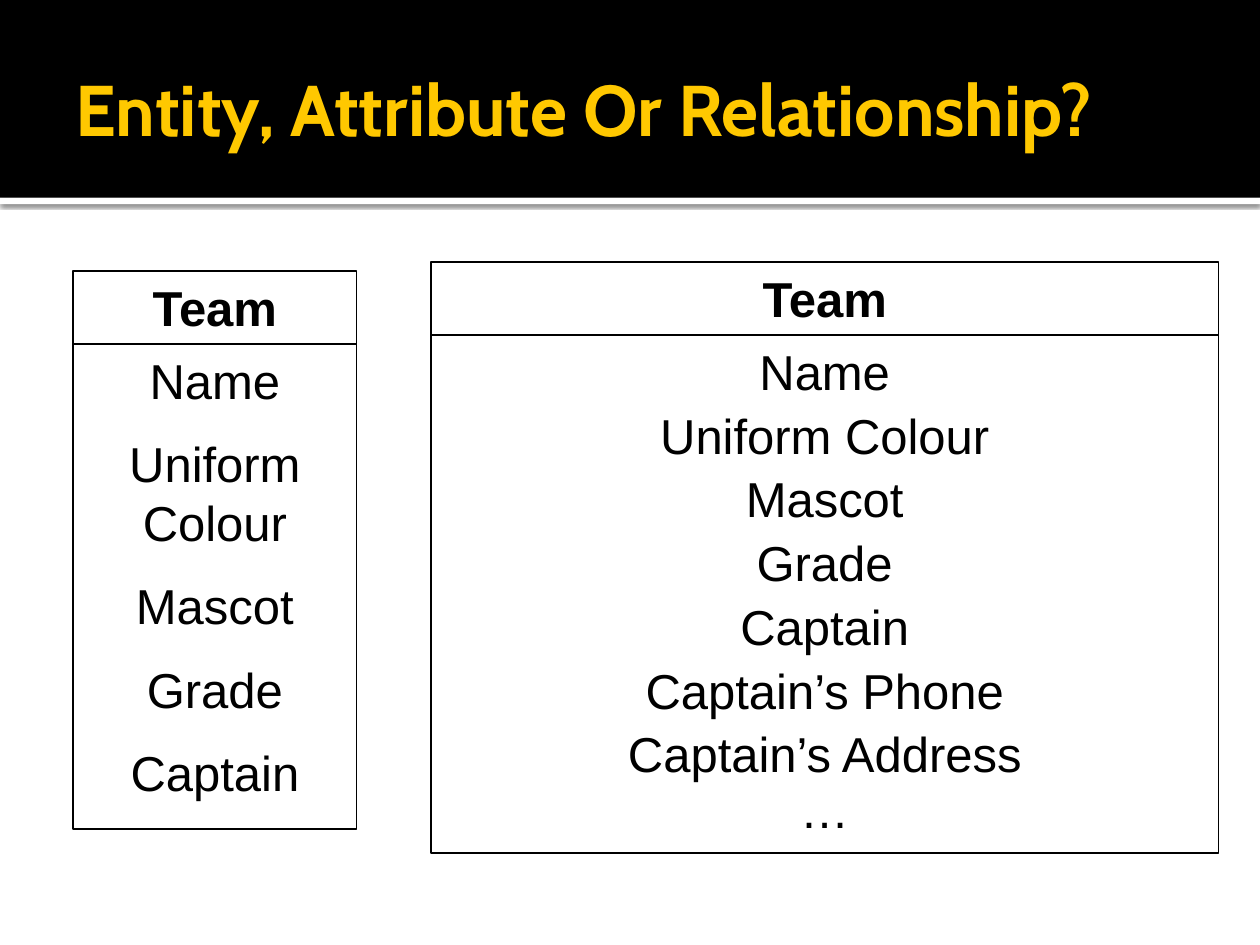
from lxml import etree
from pptx import Presentation
from pptx.dml.color import RGBColor as RGB
from pptx.enum.shapes import MSO_SHAPE as SHAPE
from pptx.enum.text import MSO_ANCHOR as ANCHOR, PP_ALIGN as ALIGN
from pptx.oxml.ns import qn
from pptx.util import Inches, Pt

COLORS = {"black": "000000", "white": "FFFFFF", "gold": "FFC800"}


def add_text(p, text, size=28, font="Arial", color="black", bold=False,
             align=ALIGN.CENTER, before=0, spacing=1.0):
    p.alignment = align
    p.space_before = Pt(before)
    p.line_spacing = spacing
    r = p.add_run()
    r.text = text
    r.font.size = Pt(size)
    r.font.name = font
    r.font.bold = bold
    r.font.color.rgb = RGB.from_string(COLORS[color])


prs = Presentation()
prs.slide_width, prs.slide_height = Inches(10), Inches(7.5)
s = prs.slides.add_slide(prs.slide_layouts[5])

for top, height, color in [(1.57, 0.05, "white"), (0, 1.57, "black")]:
    bar = s.shapes.add_shape(SHAPE.RECTANGLE, 0, Inches(top), Inches(10), Inches(height))
    bar.shadow.inherit = False
    bar.fill.solid()
    bar.fill.fore_color.rgb = RGB.from_string(COLORS[color])
    bar.line.fill.background()
    if color == "white":
        effects = bar._element.spPr.find(qn("a:effectLst"))
        shadow = etree.SubElement(effects, qn("a:outerShdw"), blurRad=str(Pt(2.5)),
                                  dist=str(Pt(0.8)), dir="5400000", rotWithShape="0")
        tint = etree.SubElement(shadow, qn("a:srgbClr"), val=COLORS["black"])
        etree.SubElement(tint, qn("a:alpha"), val="60000")

title = s.shapes.title
title.left, title.top, title.width, title.height = map(Inches, (0.5, 0.17, 9, 1.37))
tf = title.text_frame
tf.vertical_anchor = ANCHOR.MIDDLE
tf.margin_left = Inches(0.1)
tf.margin_right = tf.margin_top = tf.margin_bottom = Inches(0.05)
add_text(tf.paragraphs[0], "Entity, Attribute Or Relationship?", size=41, font="Cabin",
         color="gold", bold=True, align=ALIGN.LEFT)
s.shapes._spTree.append(title._element)

attributes = ["Name", "Uniform Colour", "Mascot", "Grade", "Captain"]
details = ["Captain’s Phone", "Captain’s Address", "…"]
entities = [
    (0.58, 2.15, 2.25, 3.85, 14, attributes),
    (3.42, 2.08, 6.25, 4.11, 2.8, attributes + details),
]
header_height = 0.58

for left, top, width, height, gap, names in entities:
    boxes = [(top, header_height, ["Team"]), (top + header_height, height, names)]
    for box_top, box_height, lines in boxes:
        sp = s.shapes.add_shape(SHAPE.RECTANGLE, Inches(left), Inches(box_top),
                                Inches(width), Inches(box_height))
        sp.shadow.inherit = False
        sp.fill.background()
        sp.line.color.rgb = RGB.from_string(COLORS["black"])
        sp.line.width = Pt(0.75)
        tf = sp.text_frame
        tf.word_wrap = True
        tf.vertical_anchor = ANCHOR.TOP
        for i, text in enumerate(lines):
            p = tf.paragraphs[0] if i == 0 else tf.add_paragraph()
            last = text == "…"
            add_text(p, text, bold=text == "Team", before=14 if last else gap,
                     spacing=0.45 if last else 1.0)

prs.save("out.pptx")
